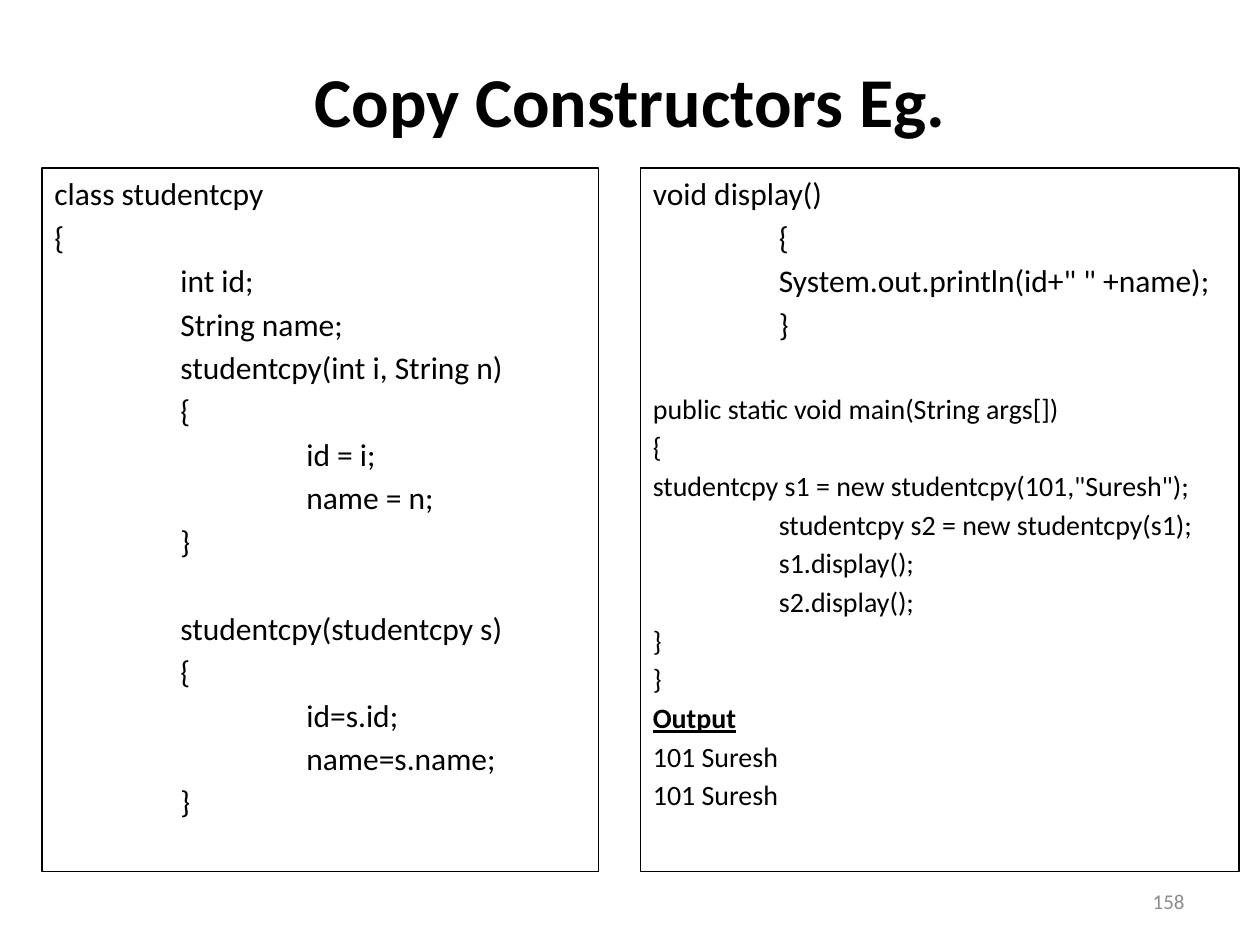
from dataclasses import dataclass

import pptx
import pptx.dml.color
import pptx.enum.shapes
import pptx.enum.text
import pptx.oxml.ns
import pptx.util
from lxml import etree

Pt = pptx.util.Pt
ALIGN = pptx.enum.text.PP_ALIGN
ANCHOR = pptx.enum.text.MSO_ANCHOR
BLACK = pptx.dml.color.RGBColor(0x00, 0x00, 0x00)
GREY = pptx.dml.color.RGBColor(0x8C, 0x8C, 0x8C)
FONT = "Calibri"
TAB_WIDTH = 72
LINE_GAP = 0.18
SECTION_GAP = 28


@dataclass(frozen=True)
class Box:
    left: float
    top: float
    width: float
    height: float

    def lengths(self) -> list[pptx.util.Length]:
        return [Pt(n) for n in (self.left, self.top, self.width, self.height)]


@dataclass(frozen=True)
class Section:
    code: str
    size: int


@dataclass(frozen=True)
class Panel:
    box: Box
    sections: tuple[Section, ...]


@dataclass(frozen=True)
class Label:
    text: str
    box: Box
    size: int
    color: pptx.dml.color.RGBColor
    align: ALIGN
    bold: bool = False


FIELDS_AND_CONSTRUCTOR = """class studentcpy
{
\tint id;
\tString name;
\tstudentcpy(int i, String n)
\t{
\t\tid = i;
\t\tname = n;
\t}"""

COPY_CONSTRUCTOR = """\tstudentcpy(studentcpy s)
\t{
\t\tid=s.id;
\t\tname=s.name;
\t}"""

DISPLAY_METHOD = """void display()
\t{
\tSystem.out.println(id+" " +name);
\t}"""

MAIN_AND_OUTPUT = """public static void main(String args[])
{
studentcpy s1 = new studentcpy(101,"Suresh");
\tstudentcpy s2 = new studentcpy(s1);
\ts1.display();
\ts2.display();
}
}
Output
101 Suresh
101 Suresh"""

LABELS = (
    Label("Copy Constructors Eg.", Box(36, 12, 648, 90), 40, BLACK, ALIGN.CENTER, True),
    Label("158", Box(516, 500.4, 168, 28.8), 12, GREY, ALIGN.RIGHT),
)
PANELS = (
    Panel(
        Box(24, 96, 318, 402),
        (Section(FIELDS_AND_CONSTRUCTOR, 18), Section(COPY_CONSTRUCTOR, 18)),
    ),
    Panel(
        Box(366, 96, 342, 402),
        (Section(DISPLAY_METHOD, 18), Section(MAIN_AND_OUTPUT, 16)),
    ),
)


def style(paragraph, size: int, color: pptx.dml.color.RGBColor, bold: bool) -> None:
    for run in paragraph.runs:
        run.font.name = FONT
        run.font.size = Pt(size)
        run.font.bold = bold
        run.font.color.rgb = color


def set_tab_stops(paragraph) -> None:
    qn = pptx.oxml.ns.qn
    stops = etree.SubElement(paragraph._p.get_or_add_pPr(), qn("a:tabLst"))
    for level in (1, 2):
        etree.SubElement(stops, qn("a:tab"), pos=str(Pt(TAB_WIDTH * level)), algn="l")


def draw_label(slide, label: Label) -> None:
    frame = slide.shapes.add_textbox(*label.box.lengths()).text_frame
    frame.word_wrap = True
    frame.vertical_anchor = ANCHOR.MIDDLE
    frame.text = label.text
    line = frame.paragraphs[0]
    line.alignment = label.align
    style(line, label.size, label.color, label.bold)


def draw_panel(slide, panel: Panel) -> None:
    outline = slide.shapes.add_shape(
        pptx.enum.shapes.MSO_SHAPE.RECTANGLE, *panel.box.lengths()
    )
    outline.shadow.inherit = False
    outline.fill.background()
    outline.line.color.rgb = BLACK
    outline.line.width = Pt(0.75)
    frame = outline.text_frame
    frame.word_wrap = True
    frame.vertical_anchor = ANCHOR.TOP
    frame.text = "\n".join(section.code for section in panel.sections)

    code_lines = iter(frame.paragraphs)
    for section_index, section in enumerate(panel.sections):
        for line_index, text in enumerate(section.code.split("\n")):
            line = next(code_lines)
            line.alignment = ALIGN.LEFT
            if line_index:
                line.space_before = Pt(round(section.size * LINE_GAP, 2))
            else:
                line.space_before = Pt(SECTION_GAP if section_index else 0)
            set_tab_stops(line)
            is_heading = text == "Output"
            style(line, section.size, BLACK, is_heading)
            line.runs[0].font.underline = is_heading


def main() -> None:
    deck = pptx.Presentation()
    deck.slide_width, deck.slide_height = Pt(720), Pt(540)
    slide = deck.slides.add_slide(deck.slide_layouts[6])
    for label in LABELS:
        draw_label(slide, label)
    for panel in PANELS:
        draw_panel(slide, panel)
    deck.save("out.pptx")


if __name__ == "__main__":
    main()
